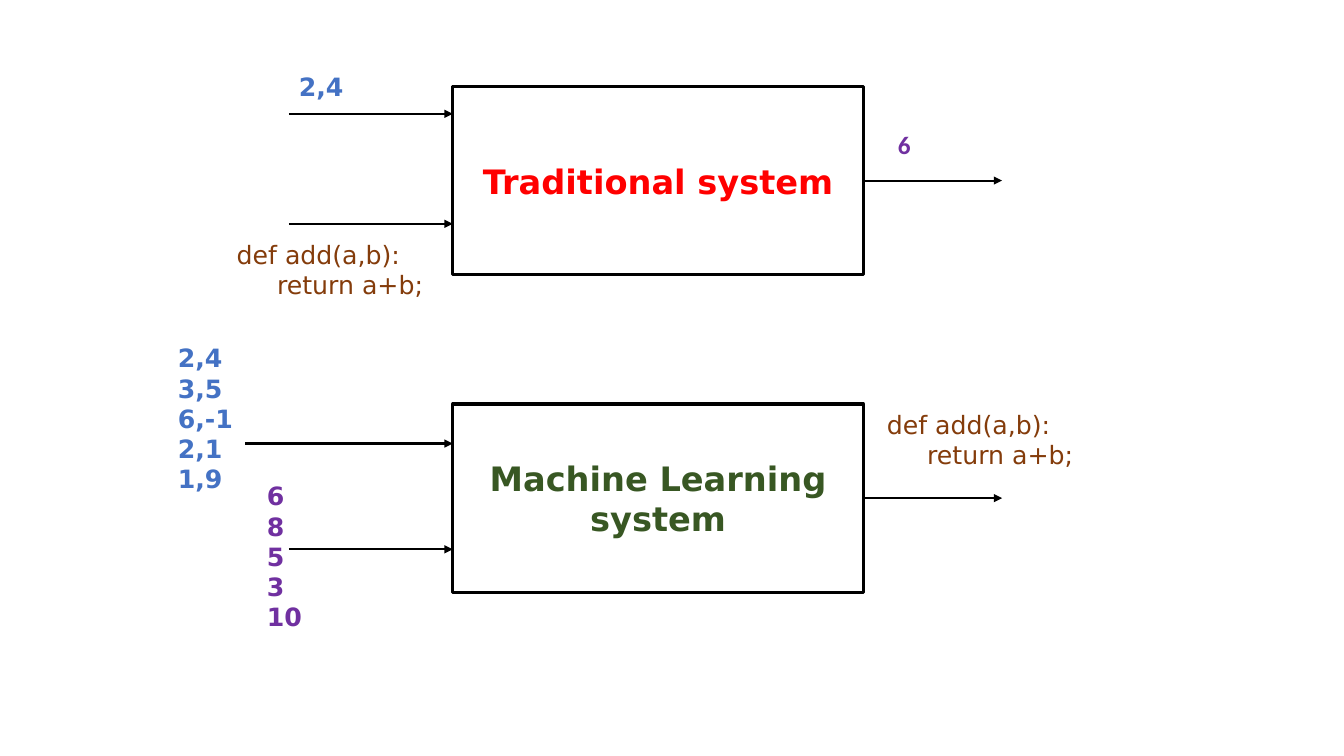
"""Build a slide comparing a traditional system with a machine learning system."""
from typing import NamedTuple

from lxml import etree
from pptx import Presentation
from pptx import util as u
from pptx.dml.color import RGBColor
from pptx.enum import shapes, text
from pptx.oxml import ns

COLUMNS, ROWS = 160, 90
BLACK = RGBColor(0x00, 0x00, 0x00)
WHITE = RGBColor(0xFF, 0xFF, 0xFF)
RED = RGBColor(0xFF, 0x00, 0x00)
GREEN = RGBColor(0x38, 0x57, 0x23)
BLUE = RGBColor(0x44, 0x72, 0xC4)
BROWN = RGBColor(0x84, 0x3C, 0x0B)
PURPLE = RGBColor(0x70, 0x30, 0xA0)

SYSTEM_LEFT, SYSTEM_WIDTH, SYSTEM_HEIGHT = 53.9, 48.9, 22.4
SYSTEM_RIGHT = SYSTEM_LEFT + SYSTEM_WIDTH
INPUT_START, OUTPUT_END = 34.4, 119.3
VALUE_WIDTH, CODE_WIDTH = 13.6, 29.8
LABEL_PADDING, LINE_HEIGHT = 1.2, 3.64
CODE_INDENT = 4.8
FUNCTION = ("def add(a,b):", "return a+b;")


class System(NamedTuple):
    name: str
    top: float
    color: RGBColor


class Arrow(NamedTuple):
    start: float
    end: float
    row: float


class Label(NamedTuple):
    lines: tuple[str, ...]
    left: float
    top: float
    color: RGBColor
    width: float = VALUE_WIDTH
    bold: bool = True
    font: str = "DejaVu Sans"
    indent: float = 0


SYSTEMS = (
    System("Traditional system", 10.3, RED),
    System("Machine Learning system", 48.1, GREEN),
)
INPUTS = (
    Arrow(INPUT_START, SYSTEM_LEFT, 13.55),
    Arrow(INPUT_START, SYSTEM_LEFT, 26.65),
    Arrow(29.2, SYSTEM_LEFT, 52.8),
    Arrow(INPUT_START, SYSTEM_LEFT, 65.4),
)
OUTPUTS = tuple(
    Arrow(SYSTEM_RIGHT, OUTPUT_END, system.top + SYSTEM_HEIGHT / 2)
    for system in SYSTEMS
)
LABELS = (
    Label(("2,4",), INPUT_START, 7.9, BLUE),
    Label(FUNCTION, 27, 27.85, BROWN, CODE_WIDTH, False, indent=CODE_INDENT),
    Label(("6",), 105.7, 14.75, PURPLE, font="Calibri"),
    Label(("2,4", "3,5", "6,-1", "2,1", "1,9"), 20, 40.2, BLUE),
    Label(FUNCTION, 104.4, 48.1, BROWN, CODE_WIDTH, False, indent=CODE_INDENT),
    Label(("6", "8", "5", "3", "10"), 30.6, 56.65, PURPLE),
)

deck = Presentation()
deck.slide_width, deck.slide_height = u.Inches(13.33), u.Inches(7.5)
page = deck.slides.add_slide(deck.slide_layouts[6])


def across(columns: float) -> int:
    """Convert grid columns to a slide length."""
    return round(deck.slide_width * columns / COLUMNS)


def down(rows: float) -> int:
    """Convert grid rows to a slide length."""
    return round(deck.slide_height * rows / ROWS)


def add_span(para, words: str, size: int, color: RGBColor, bold: bool, font: str) -> None:
    """Add one formatted run to a paragraph."""
    span = para.add_run()
    span.text = words
    span.font.size = u.Pt(size)
    span.font.bold = bold
    span.font.name = font
    span.font.color.rgb = color


def draw_system(system: System) -> None:
    """Draw a system as a titled rectangle."""
    box = page.shapes.add_shape(
        shapes.MSO_SHAPE.RECTANGLE, across(SYSTEM_LEFT), down(system.top),
        across(SYSTEM_WIDTH), down(SYSTEM_HEIGHT))
    box.shadow.inherit = False
    box.fill.solid()
    box.fill.fore_color.rgb = WHITE
    box.line.color.rgb = BLACK
    box.line.width = u.Pt(2.25)
    box.text_frame.word_wrap = True
    box.text_frame.vertical_anchor = text.MSO_ANCHOR.MIDDLE
    para = box.text_frame.paragraphs[0]
    para.alignment = text.PP_ALIGN.CENTER
    add_span(para, system.name, 24, system.color, True, "DejaVu Sans")


def draw_arrow(arrow: Arrow) -> None:
    """Draw a horizontal arrow."""
    line = page.shapes.add_connector(
        shapes.MSO_CONNECTOR.STRAIGHT, across(arrow.start), down(arrow.row),
        across(arrow.end), down(arrow.row))
    line.line.color.rgb = BLACK
    line.line.width = u.Pt(1.5)
    etree.SubElement(line.line._get_or_add_ln(), ns.qn("a:tailEnd"), type="triangle")
    etree.SubElement(line._element.spPr, ns.qn("a:effectLst"))


def draw_label(label: Label) -> None:
    """Draw a text label with one paragraph per line."""
    height = LABEL_PADDING + LINE_HEIGHT * len(label.lines)
    box = page.shapes.add_textbox(
        across(label.left), down(label.top), across(label.width), down(height))
    frame = box.text_frame
    frame.word_wrap = True
    frame.auto_size = text.MSO_AUTO_SIZE.SHAPE_TO_FIT_TEXT
    for index, words in enumerate(label.lines):
        para = frame.add_paragraph() if index else frame.paragraphs[0]
        if index and label.indent:
            para._p.get_or_add_pPr().set("marL", str(across(label.indent)))
        add_span(para, words, 18, label.color, label.bold, label.font)


for system in SYSTEMS:
    draw_system(system)
for arrow in INPUTS + OUTPUTS:
    draw_arrow(arrow)
for label in LABELS:
    draw_label(label)

deck.save("out.pptx")
